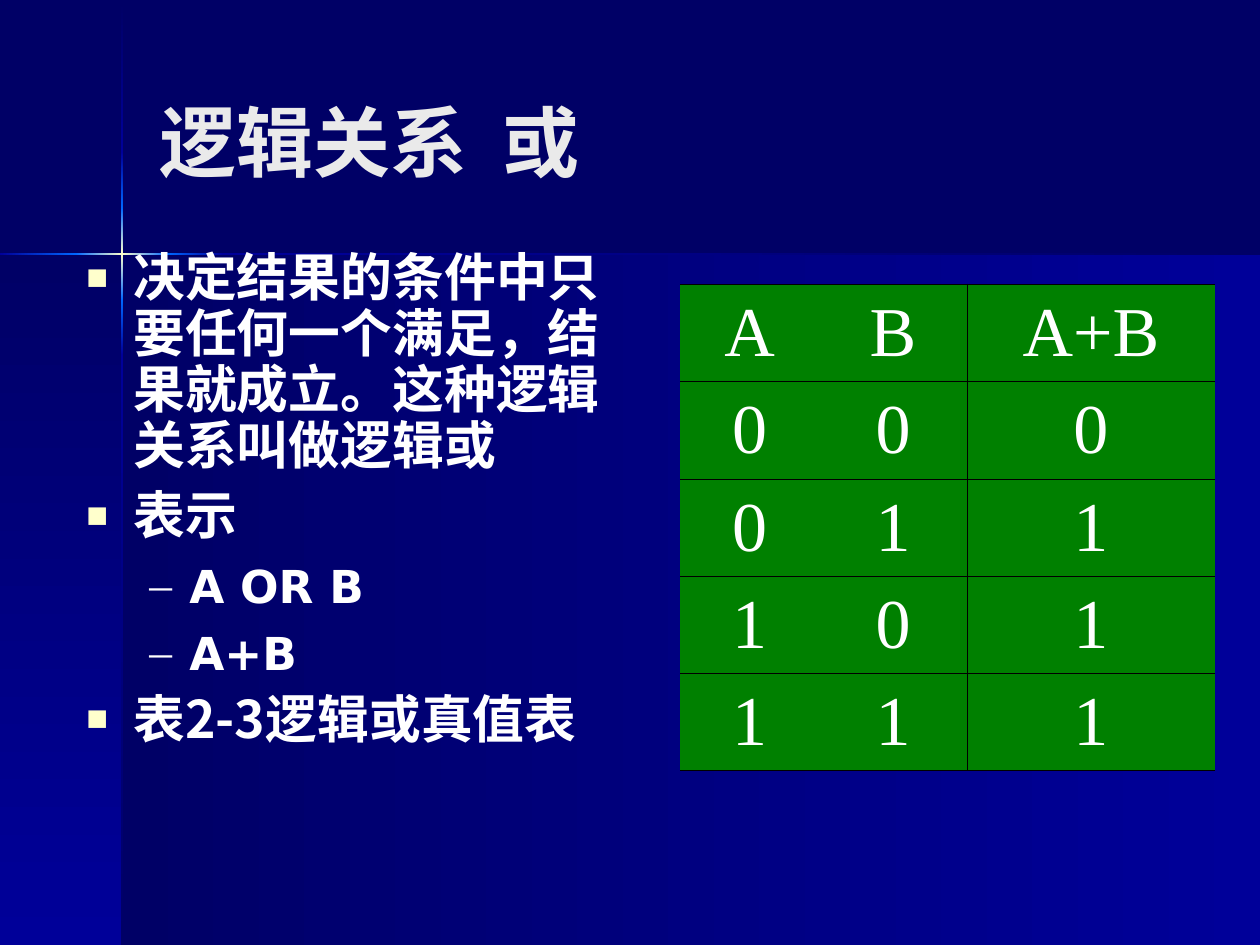
from lxml import etree
from pptx import Presentation
from pptx.dml.color import RGBColor
from pptx.enum.shapes import MSO_SHAPE
from pptx.enum.text import MSO_ANCHOR, PP_ALIGN
from pptx.oxml.ns import qn
from pptx.util import Emu, Pt

RECTANGLE = MSO_SHAPE.RECTANGLE
MIDDLE, TOP = MSO_ANCHOR.MIDDLE, MSO_ANCHOR.TOP
CENTER = PP_ALIGN.CENTER

PX_PER_INCH = 126
PAGE_WIDTH, PAGE_HEIGHT = 1260, 945
HEADING_FONT, LATIN_FONT, TABLE_FONT = "Noto Sans CJK SC", "DejaVu Sans", "Times New Roman"
COLORS = {
    "navy": "000066", "blue": "000099", "azure": "0066FF", "cream": "FFFFCC",
    "title": "EAEAEA", "white": "FFFFFF", "green": "008000", "black": "000000",
}

# Crossing beams: segment ends along each axis and the colours of each segment
BEAM_COLORS = [
    ("navy", "blue"), ("blue", "azure"), ("azure", "cream", "azure"),
    ("azure", "blue"), ("blue", "navy"),
]
VERTICAL_ENDS = [1, 152, 208, 300, 355, PAGE_HEIGHT]
HORIZONTAL_ENDS = [0, 76, 168, 223, PAGE_WIDTH]
BEAM_X, BEAM_Y, BEAM_WIDTH = 121, 253, 2

# Paragraph styles by outline level
LEVELS = [
    {"size": 29.6, "font": HEADING_FONT, "margin": 47, "hang": 47, "before": 8,
     "spacing": 0.9, "bullet": "■", "bullet_color": "cream", "bullet_size": 70},
    {"size": 25.9, "font": LATIN_FONT, "margin": 103, "hang": 40, "before": 7,
     "spacing": 1.0, "bullet": "–", "bullet_color": "white", "bullet_size": 100},
]
OUTLINE = [
    (0, "决定结果的条件中只要任何一个满足，结果就成立。这种逻辑关系叫做逻辑或"),
    (0, "表示"),
    (1, "A OR B"),
    (1, "A+B"),
    (0, "表2-3逻辑或真值表"),
]

TRUTH_TABLE = [("A", "B", "A+B")] + [
    (str(a), str(b), str(a | b)) for a in (0, 1) for b in (0, 1)
]
COLUMN_WIDTHS = [139, 148, 248]
ROW_HEIGHTS = [97, 98, 97, 97, 97]
CELL_BORDERS = ["TB", "RTB", "LTB"]


def px(length):
    return Emu(round(length * 914400 / PX_PER_INCH))


def color(name):
    return RGBColor.from_string(COLORS[name])


def add_child(parent, tag, **attributes):
    child = etree.SubElement(parent, qn(tag))
    for key, value in attributes.items():
        child.set(key, str(value))
    return child


def add_gradient_box(page, left, top, width, height, names, angle):
    box = page.shapes.add_shape(RECTANGLE, px(left), px(top), px(width), px(height))
    box.shadow.inherit = False
    box.line.fill.background()
    box.fill.gradient()
    gradient = box._element.spPr.find(qn("a:gradFill"))
    for child in list(gradient):
        gradient.remove(child)
    stops = add_child(gradient, "a:gsLst")
    for index, name in enumerate(names):
        stop = add_child(stops, "a:gs", pos=100000 * index // (len(names) - 1))
        add_child(stop, "a:srgbClr", val=COLORS[name])
    add_child(gradient, "a:lin", ang=angle * 60000, scaled=0)


def add_background(page):
    page.background.fill.solid()
    page.background.fill.fore_color.rgb = color("navy")
    panel_left, panel_top = 122, 255
    panel_height = PAGE_HEIGHT - panel_top
    add_gradient_box(page, panel_left, panel_top, PAGE_WIDTH - panel_left,
                     panel_height, ("navy", "blue"), 0)
    add_gradient_box(page, 0, panel_top, panel_left, panel_height, ("navy", "blue"), 90)
    for start, end, names in zip(VERTICAL_ENDS, VERTICAL_ENDS[1:], BEAM_COLORS):
        add_gradient_box(page, BEAM_X, start, BEAM_WIDTH, end - start, names, 90)
    for start, end, names in zip(HORIZONTAL_ENDS, HORIZONTAL_ENDS[1:], BEAM_COLORS[1:]):
        add_gradient_box(page, start, BEAM_Y, end - start, BEAM_WIDTH, names, 0)


def add_text_box(page, left, top, width, height, anchor):
    box = page.shapes.add_textbox(px(left), px(top), px(width), px(height))
    box.text_frame.word_wrap = True
    box.text_frame.vertical_anchor = anchor
    return box.text_frame


def add_span(para, text, size, font, color_name, bold):
    span = para.add_run()
    span.text = text
    span.font.size = Pt(size)
    span.font.bold = bold
    span.font.color.rgb = color(color_name)
    span.font.name = font
    add_child(span._r.get_or_add_rPr(), "a:ea", typeface=font)


def set_bullet(para, style):
    properties = para._p.get_or_add_pPr()
    properties.set("marL", str(px(style["margin"])))
    properties.set("indent", str(-px(style["hang"])))
    bullet_color = add_child(properties, "a:buClr")
    add_child(bullet_color, "a:srgbClr", val=COLORS[style["bullet_color"]])
    add_child(properties, "a:buSzPct", val=style["bullet_size"] * 1000)
    add_child(properties, "a:buFont", typeface=TABLE_FONT)
    add_child(properties, "a:buChar", char=style["bullet"])


def add_outline(page):
    frame = add_text_box(page, 74, 246, 577, 624, TOP)
    for index, (level, text) in enumerate(OUTLINE):
        style = LEVELS[level]
        para = frame.add_paragraph() if index else frame.paragraphs[0]
        para.level = level
        set_bullet(para, style)
        para.line_spacing = style["spacing"]
        para.space_before = Pt(style["before"] if index else 0)
        add_span(para, text, style["size"], style["font"], "white", True)


def set_borders(cell, sides):
    properties = cell._tc.get_or_add_tcPr()
    for index, side in enumerate("LRTB"):
        line = etree.Element(qn("a:ln" + side))
        properties.insert(index, line)
        if side in sides:
            line.set("w", str(Pt(0.45)))
            fill = add_child(line, "a:solidFill")
            add_child(fill, "a:srgbClr", val=COLORS["black"])
        else:
            add_child(line, "a:noFill")


def add_truth_table(page):
    frame = page.shapes.add_table(
        len(ROW_HEIGHTS), len(COLUMN_WIDTHS), px(680), px(284),
        px(sum(COLUMN_WIDTHS)), px(sum(ROW_HEIGHTS)))
    table = frame.table
    table.first_row = table.horz_banding = False
    for column, width in zip(table.columns, COLUMN_WIDTHS):
        column.width = px(width)
    for row, height, values in zip(table.rows, ROW_HEIGHTS, TRUTH_TABLE):
        row.height = px(height)
        for cell, value, sides in zip(row.cells, values, CELL_BORDERS):
            cell.vertical_anchor = MIDDLE
            cell.fill.solid()
            cell.fill.fore_color.rgb = color("green")
            set_borders(cell, sides)
            para = cell.text_frame.paragraphs[0]
            para.alignment = CENTER
            add_span(para, value, 40, TABLE_FONT, "white", False)


def main():
    deck = Presentation()
    deck.slide_width, deck.slide_height = px(PAGE_WIDTH), px(PAGE_HEIGHT)
    page = deck.slides.add_slide(deck.slide_layouts[6])
    add_background(page)
    title = add_text_box(page, 147, 42, 1040, 198, MIDDLE)
    add_span(title.paragraphs[0], "逻辑关系  或", 44, HEADING_FONT, "title", True)
    add_outline(page)
    add_truth_table(page)
    deck.save("out.pptx")


if __name__ == "__main__":
    main()
